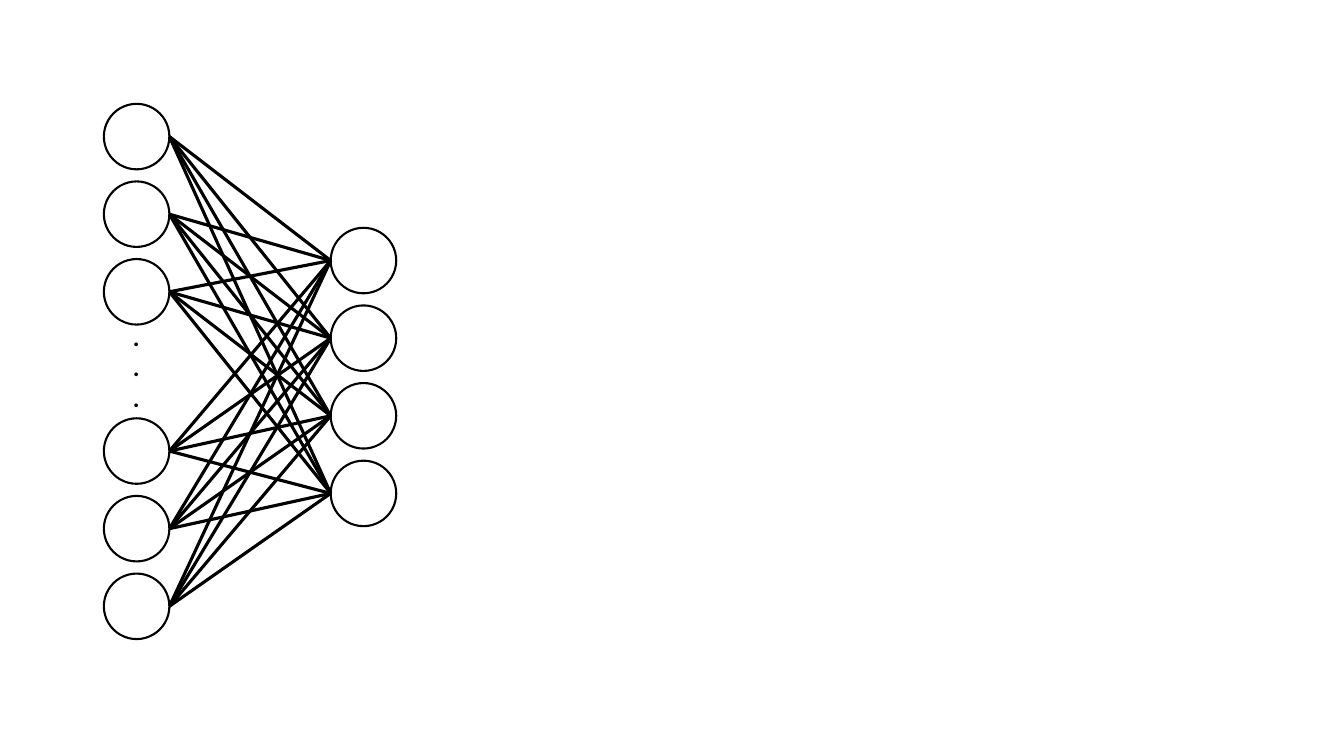
"""Build a slide with a fully connected two-layer neural network."""
from dataclasses import dataclass
from itertools import product

from pptx import Presentation
from pptx.dml.color import RGBColor
from pptx.enum import shapes, text
from pptx.oxml import parse_xml
from pptx.oxml.ns import nsdecls
from pptx.util import Inches, Pt

INPUT_GROUPS = [(1.03, 3), (4.15, 3)]
OUTPUT_GROUPS = [(2.26, 4)]
ELLIPSIS = [".", ".", "."]

INPUT_LEFT = 1.03
OUTPUT_LEFT = 3.28
DIAMETER = 0.65
PITCH = 0.77
ELLIPSIS_BOX = (1.22, 3.14, 0.27, 1.01)


@dataclass(frozen=True)
class Theme:
    ink: RGBColor = RGBColor(0, 0, 0)
    font: str = "Calibri"
    dot_size: Pt = Pt(18)
    neuron_line: Pt = Pt(1.5)
    link_line: Pt = Pt(2.25)


THEME = Theme()


def neuron_tops(groups):
    return [start + PITCH * index for start, count in groups for index in range(count)]


def add_neuron(network, left, top):
    neuron = network.shapes.add_shape(
        shapes.MSO_SHAPE.OVAL, Inches(left), Inches(top), Inches(DIAMETER), Inches(DIAMETER)
    )
    neuron.shadow.inherit = False
    neuron.fill.background()
    neuron.line.color.rgb = THEME.ink
    neuron.line.width = THEME.neuron_line


def add_ellipsis(network):
    box = network.shapes.add_textbox(*map(Inches, ELLIPSIS_BOX))
    frame = box.text_frame
    frame.word_wrap = False
    frame.auto_size = text.MSO_AUTO_SIZE.SHAPE_TO_FIT_TEXT
    for index, dot in enumerate(ELLIPSIS):
        paragraph = frame.add_paragraph() if index else frame.paragraphs[0]
        run = paragraph.add_run()
        run.text = dot
        run.font.name = THEME.font
        run.font.size = THEME.dot_size
        run.font.bold = True
        run.font.color.rgb = THEME.ink


def add_link(network, input_top, output_top):
    radius = DIAMETER / 2
    ends = (INPUT_LEFT + DIAMETER, input_top + radius, OUTPUT_LEFT, output_top + radius)
    link = network.shapes.add_connector(shapes.MSO_CONNECTOR.STRAIGHT, *map(Inches, ends))
    link.line.color.rgb = THEME.ink
    link.line.width = THEME.link_line
    link._element.spPr.append(parse_xml(f"<a:effectLst {nsdecls('a')}/>"))


def main():
    presentation = Presentation()
    presentation.slide_width = Inches(13.33)
    presentation.slide_height = Inches(7.5)
    slide = presentation.slides.add_slide(presentation.slide_layouts[6])
    network = slide.shapes.add_group_shape()
    inputs, outputs = neuron_tops(INPUT_GROUPS), neuron_tops(OUTPUT_GROUPS)
    for left, tops in ((INPUT_LEFT, inputs), (OUTPUT_LEFT, outputs)):
        for top in tops:
            add_neuron(network, left, top)
    add_ellipsis(network)
    for input_top, output_top in product(inputs, outputs):
        add_link(network, input_top, output_top)
    presentation.save("out.pptx")


if __name__ == "__main__":
    main()
